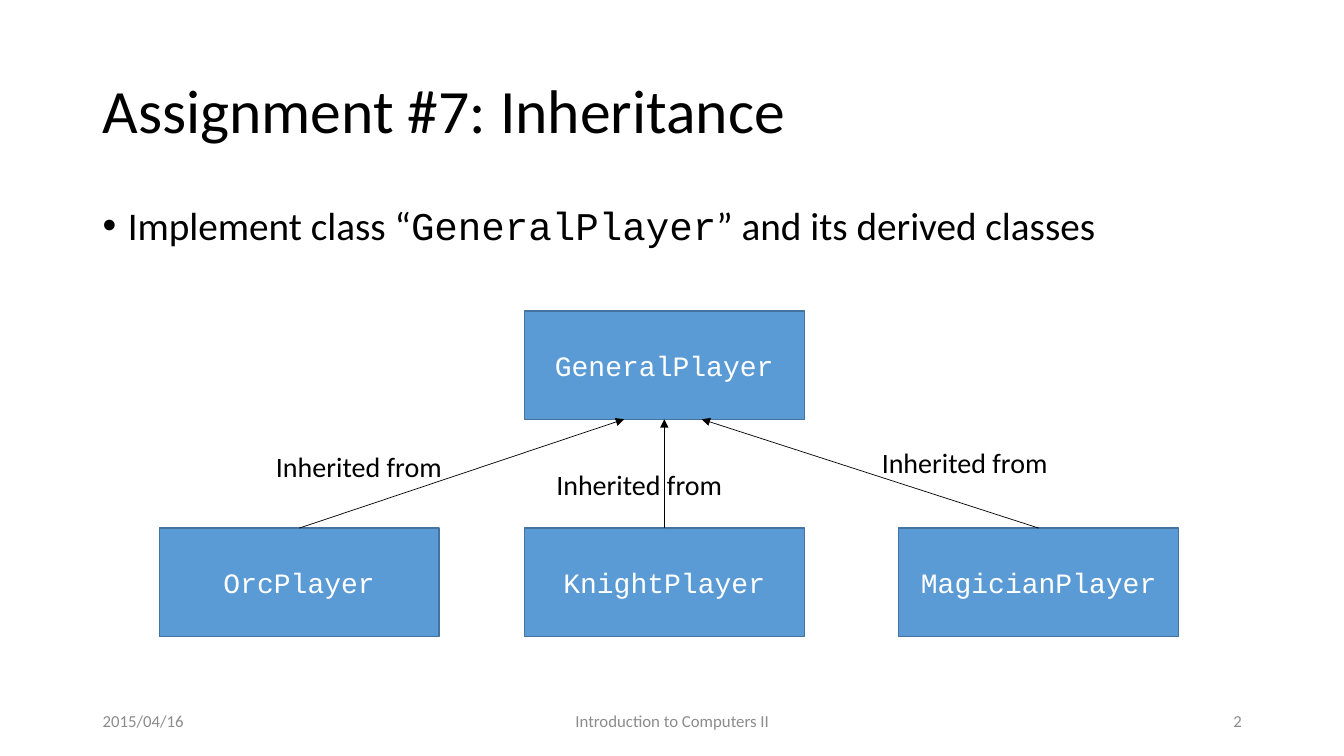
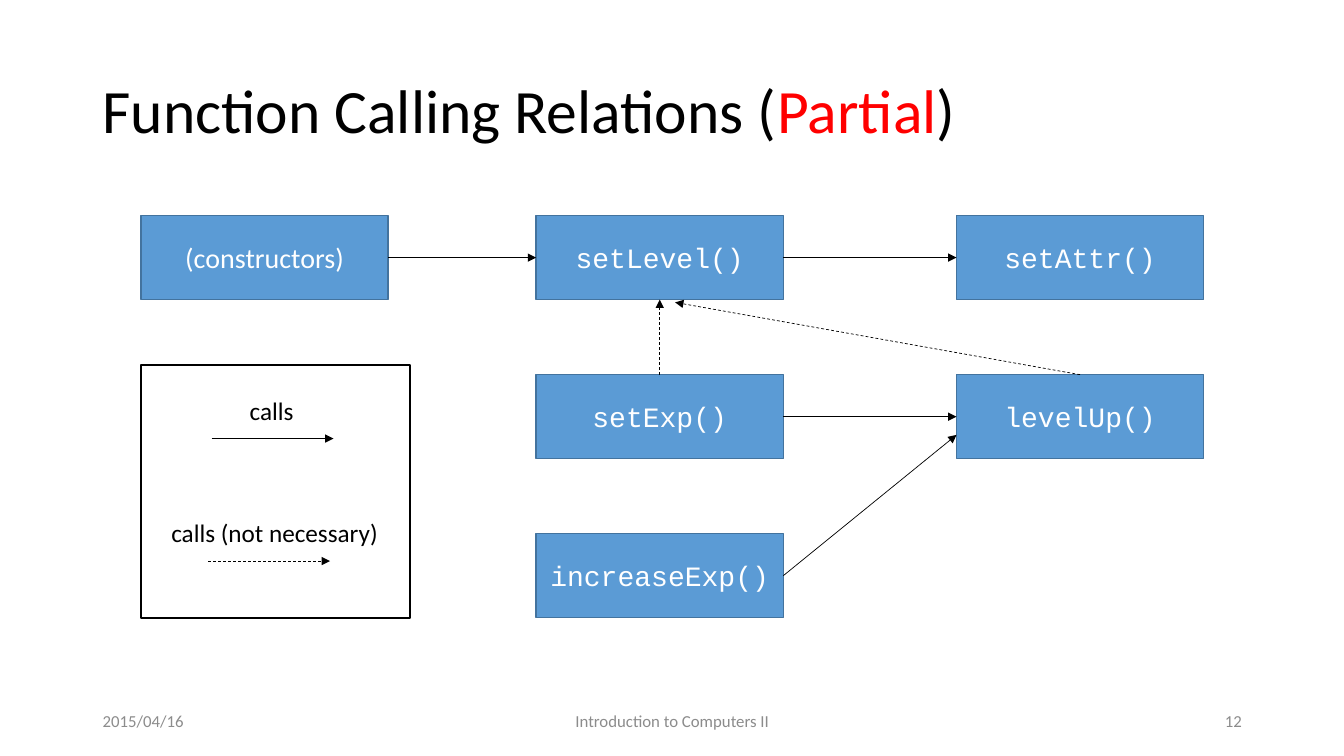
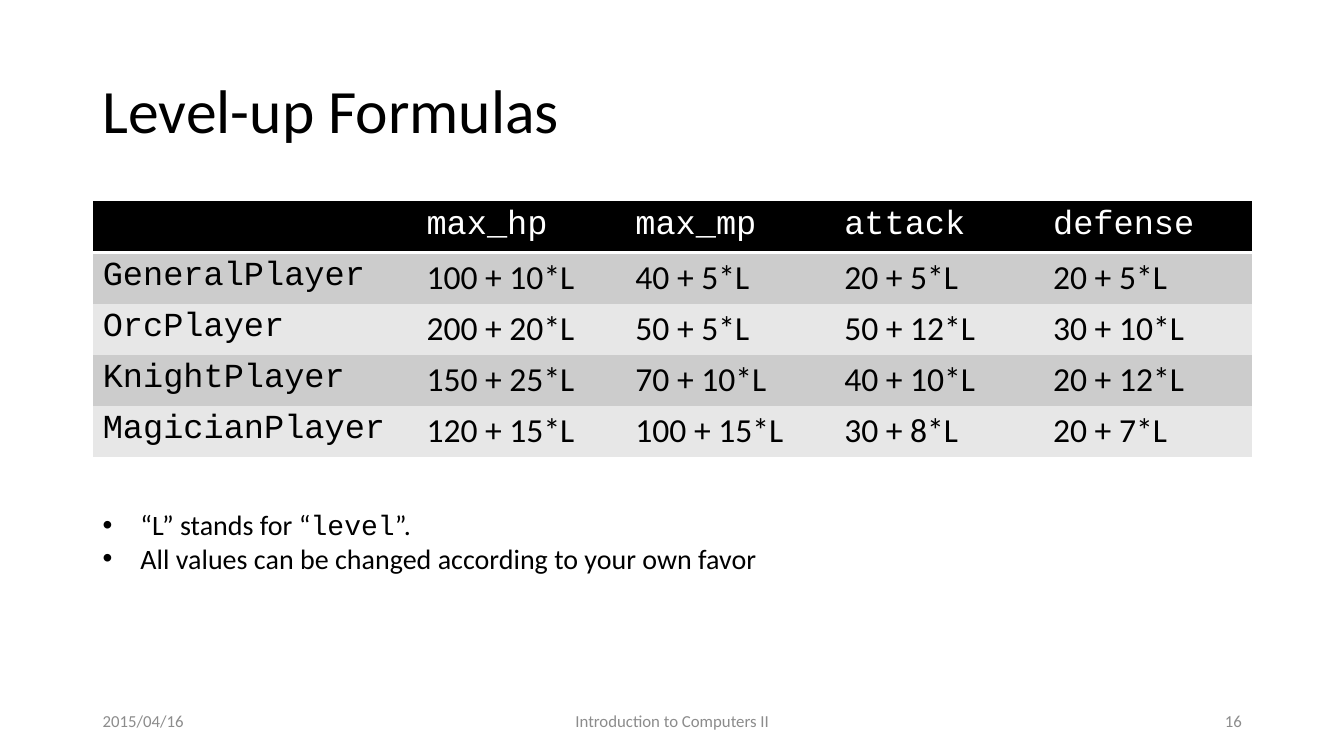
from lxml import etree
from pptx import Presentation
from pptx.dml.color import RGBColor
from pptx.enum.dml import MSO_LINE
from pptx.enum.shapes import MSO_CONNECTOR, MSO_SHAPE
from pptx.enum.text import MSO_ANCHOR, PP_ALIGN
from pptx.oxml.ns import qn
from pptx.util import Pt

STRAIGHT = MSO_CONNECTOR.STRAIGHT
RECT = MSO_SHAPE.RECTANGLE
DASH = MSO_LINE.DASH
TOP, MIDDLE = MSO_ANCHOR.TOP, MSO_ANCHOR.MIDDLE
LEFT, CENTER, RIGHT = PP_ALIGN.LEFT, PP_ALIGN.CENTER, PP_ALIGN.RIGHT

COLORS = {
    "text": "000000", "white": "FFFFFF", "accent": "FF0000", "footer": "8C8C8C",
    "node": "5B9BD5", "edge": "43739E", "band_dark": "CCCCCC", "band_light": "E7E7E7",
}
SANS, MONO = "Calibri", "Courier New"
NO_TABLE_STYLE = "{2D5ABB26-0587-4C30-8999-92F81FD0307C}"
MARGIN, CONTENT_W = 66.25, 828
TITLE_BOX = (MARGIN, 28.75, CONTENT_W, 104.5)
FOOTER_BOX = (MARGIN, 500.5, CONTENT_W, 28.75)


def rgb(name):
    """Return the named palette colour."""
    return RGBColor.from_string(COLORS[name])


def pts(values):
    """Turn numbers into point lengths."""
    return [Pt(v) for v in values]


def write(tf, paragraphs, size=20, font=SANS, color="text", align=LEFT, anchor=TOP,
          spacing=None, before=None, indent=None):
    """Fill a text frame with paragraphs of (text, overrides) runs."""
    tf.vertical_anchor = anchor
    for i, runs in enumerate(paragraphs):
        p = tf.add_paragraph() if i else tf.paragraphs[0]
        p.alignment = align
        if spacing:
            p.line_spacing = spacing
        if before:
            p.space_before = Pt(before)
        if indent:
            add_bullet(p, indent)
        for text, override in runs:
            r = p.add_run()
            r.text = text
            r.font.size = Pt(size)
            r.font.name = override.get("font", font)
            r.font.color.rgb = rgb(override.get("color", color))


def add_bullet(p, indent):
    """Give a paragraph a hanging round bullet."""
    pPr = p._p.get_or_add_pPr()
    pPr.set("marL", str(Pt(indent)))
    pPr.set("indent", str(-Pt(indent)))
    etree.SubElement(pPr, qn("a:buFont")).set("typeface", "Arial")
    etree.SubElement(pPr, qn("a:buChar")).set("char", "•")


def add_text(s, box, *paragraphs, wrap=True, **fmt):
    """Add a text box holding the given paragraphs."""
    tf = s.shapes.add_textbox(*pts(box)).text_frame
    tf.word_wrap = wrap
    write(tf, paragraphs, **fmt)


def add_rect(s, box, line, fill=None):
    """Add a plain outlined rectangle."""
    sp = s.shapes.add_shape(RECT, *pts(box))
    sp.shadow.inherit = False
    if fill:
        sp.fill.solid()
        sp.fill.fore_color.rgb = rgb(fill)
    else:
        sp.fill.background()
    sp.line.color.rgb = rgb(line)
    sp.line.width = Pt(1)
    return sp


def add_node(s, box, label, font=MONO):
    """Add a blue diagram node."""
    sp = add_rect(s, box, "edge", "node")
    write(sp.text_frame, [[(label, {})]], font=font, color="white",
          align=CENTER, anchor=MIDDLE)


def add_arrow(s, start, end, dashed=False):
    """Draw a thin arrow from start to end."""
    c = s.shapes.add_connector(STRAIGHT, *pts(start + end))
    c.line.color.rgb = rgb("text")
    c.line.width = Pt(0.5)
    if dashed:
        c.line.dash_style = DASH
    spPr = c.element.spPr
    etree.SubElement(spPr.get_or_add_ln(), qn("a:tailEnd")).set("type", "triangle")
    etree.SubElement(spPr, qn("a:effectLst"))


def side_point(box, side, dx=0, dy=0):
    """Return the middle of one side of a box, shifted by dx and dy."""
    x, y, w, h = box
    fx, fy = {"left": (0, 0.5), "right": (1, 0.5),
              "top": (0.5, 0), "bottom": (0.5, 1)}[side]
    return x + fx * w + dx, y + fy * h + dy


def footer(s, box, number):
    """Place date, course name and slide number along the box."""
    x, y, w, h = box
    parts = [(0, 216, "2015/04/16", LEFT),
             (252, 324, "Introduction to Computers II", CENTER),
             (w - 216, 216, str(number), RIGHT)]
    for dx, width, text, align in parts:
        add_text(s, (x + dx, y, width, h), [(text, {})], size=12,
                 color="footer", align=align, anchor=MIDDLE)


def new_slide(prs, number, *title):
    """Add a blank slide with its title and footer."""
    s = prs.slides.add_slide(prs.slide_layouts[6])
    add_text(s, TITLE_BOX, title, size=44, anchor=MIDDLE, spacing=0.9)
    footer(s, FOOTER_BOX, number)
    return s


def class_tree(s, box):
    """Draw the base class above its three derived classes."""
    x, y, w, h = box
    node_w, node_h = 200, 77.25
    parent = (x + 260.75, y, node_w, node_h)
    add_node(s, parent, "GeneralPlayer")
    children = [("OrcPlayer", 0, -28.75, (76.25, 95)),
                ("KnightPlayer", 260.75, 0, (276.5, 108)),
                ("MagicianPlayer", w - node_w, 26.75, (509, 92.5))]
    for name, dx, shift, (label_x, label_y) in children:
        child = (x + dx, y + h - node_h, node_w, node_h)
        add_node(s, child, name)
        add_arrow(s, side_point(child, "top"), side_point(parent, "bottom", shift))
        add_text(s, (x + label_x, y + label_y, 134, 31.5),
                 [("Inherited from", {})], wrap=False)


def call_graph(s, box):
    """Draw functions on a three by three grid with their calls."""
    x, y, w, h = box
    node_w, node_h = 176.5, 60
    columns = (0, 282.25, w - node_w)
    row_step = (h - node_h) / 2
    cells = {"(constructors)": (0, 0), "setLevel()": (1, 0), "setAttr()": (2, 0),
             "setExp()": (1, 1), "levelUp()": (2, 1), "increaseExp()": (1, 2)}
    nodes = {name: (x + columns[col], y + row * row_step, node_w, node_h)
             for name, (col, row) in cells.items()}
    for name, node in nodes.items():
        add_node(s, node, name, SANS if name == "(constructors)" else MONO)
    calls = [("(constructors)", "right", "setLevel()", "left", (0, 0), False),
             ("setLevel()", "right", "setAttr()", "left", (0, 0), False),
             ("setExp()", "right", "levelUp()", "left", (0, 0), False),
             ("increaseExp()", "right", "levelUp()", "left", (0, 13), False),
             ("setExp()", "top", "setLevel()", "bottom", (0, 0), True),
             ("levelUp()", "top", "setLevel()", "bottom", (11, 2), True)]
    for caller, out_side, callee, in_side, shift, dashed in calls:
        add_arrow(s, side_point(nodes[caller], out_side),
                  side_point(nodes[callee], in_side, *shift), dashed)


def legend(s, box):
    """Explain solid and dashed arrows inside a frame."""
    x, y, w, h = box
    add_rect(s, box, "text")
    entries = [("calls", 70.5, 46, 50.5, False),
               ("calls (not necessary)", 14.5, 165, 48, True)]
    for i, (label, text_x, text_w, arrow_x, dashed) in enumerate(entries):
        top = y + 18 + i * 87.5
        add_text(s, (x + text_x, top, text_w, 29), [(label, {})], size=18, wrap=False)
        start = x + arrow_x
        add_arrow(s, (start, top + 34.5), (start + 87, top + 34.5), dashed)


def add_bottom_border(cell):
    """Draw a white line under a table cell."""
    ln = etree.Element(qn("a:lnB"), w=str(Pt(2)))
    fill = etree.SubElement(ln, qn("a:solidFill"))
    etree.SubElement(fill, qn("a:srgbClr")).set("val", COLORS["white"])
    cell._tc.get_or_add_tcPr().insert(0, ln)


def formula_table(s, box, rows):
    """Fill the box with a banded table under a black header."""
    w, h = box[2:]
    gf = s.shapes.add_table(len(rows), len(rows[0]), *pts(box))
    gf.element.find(".//" + qn("a:tableStyleId")).text = NO_TABLE_STYLE
    table = gf.table
    name_w = 231.25
    for i, column in enumerate(table.columns):
        column.width = Pt((w - name_w) / 4 if i else name_w)
    for i, values in enumerate(rows):
        table.rows[i].height = Pt(h / len(rows))
        band = "band_dark" if i % 2 else "band_light"
        for j, value in enumerate(values):
            cell = table.cell(i, j)
            cell.fill.solid()
            cell.fill.fore_color.rgb = rgb(band if i else "text")
            if i == 0:
                add_bottom_border(cell)
            if value:
                write(cell.text_frame, [[(value, {})]], size=24,
                      font=SANS if i and j else MONO, color="text" if i else "white")


def inheritance_slide(prs):
    """Build the slide on the class hierarchy."""
    s = new_slide(prs, 2, ("Assignment #7: Inheritance", {}))
    add_text(s, (MARGIN, 143.75, CONTENT_W, 342.75),
             [("Implement class “", {}), ("GeneralPlayer", {"font": MONO}),
              ("” and its derived classes", {})],
             size=28, spacing=0.9, before=10, indent=18)
    class_tree(s, (113.75, 222.25, 728.25, 232.25))


def calls_slide(prs):
    """Build the slide on which function calls which."""
    s = new_slide(prs, 12, ("Function Calling Relations (", {}),
                  ("Partial", {"color": "accent"}), (")", {}))
    call_graph(s, (100.75, 154, 759, 287.25))
    legend(s, (100.75, 260.75, 192.25, 180.75))


def formulas_slide(prs):
    """Build the slide with the level-up table."""
    s = new_slide(prs, 16, ("Level-up Formulas", {}))
    formula_table(s, (MARGIN, 143.75, CONTENT_W, 182.75), [
        ("", "max_hp", "max_mp", "attack", "defense"),
        ("GeneralPlayer", "100 + 10*L", "40 + 5*L", "20 + 5*L", "20 + 5*L"),
        ("OrcPlayer", "200 + 20*L", "50 + 5*L", "50 + 12*L", "30 + 10*L"),
        ("KnightPlayer", "150 + 25*L", "70 + 10*L", "40 + 10*L", "20 + 12*L"),
        ("MagicianPlayer", "120 + 15*L", "100 + 15*L", "30 + 8*L", "20 + 7*L"),
    ])
    add_text(s, (MARGIN, 359.25, 494.5, 55.5),
             [("“L” stands for “", {}), ("level", {"font": MONO}), ("”.", {})],
             [("All values can be changed according to your own favor", {})],
             indent=27)


def main():
    """Build and save the presentation."""
    prs = Presentation()
    prs.slide_width, prs.slide_height = Pt(960), Pt(540)
    inheritance_slide(prs)
    calls_slide(prs)
    formulas_slide(prs)
    prs.save("out.pptx")


main()
